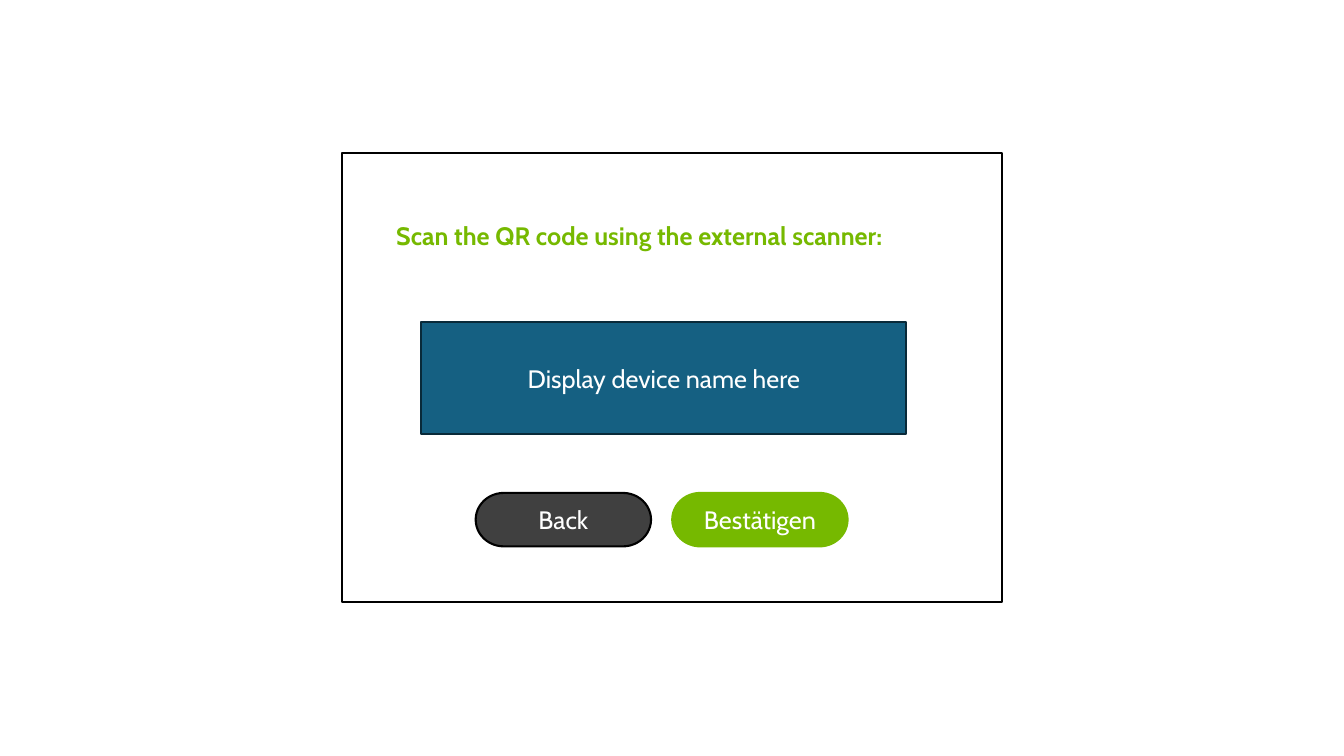
"""Build the device scanning dialog slide."""
from dataclasses import dataclass

from pptx import Presentation
from pptx.dml.color import RGBColor
from pptx.enum import shapes, text
from pptx.util import Pt

WHITE = RGBColor(0xFF, 0xFF, 0xFF)
BLACK = RGBColor(0x00, 0x00, 0x00)
GREEN = RGBColor(0x76, 0xB9, 0x00)
BLUE = RGBColor(0x15, 0x60, 0x82)
NAVY = RGBColor(0x09, 0x2A, 0x39)
GREY = RGBColor(0x40, 0x40, 0x40)

RECT = shapes.MSO_SHAPE.RECTANGLE
PILL = shapes.MSO_SHAPE.FLOWCHART_TERMINATOR


@dataclass(frozen=True)
class Box:
    kind: shapes.MSO_SHAPE
    left: float
    top: float
    width: float
    height: float
    fill: RGBColor
    line: RGBColor
    label: str = ""


FRAME = Box(RECT, 244.1, 109.4, 471.6, 320.4, WHITE, BLACK)
PANEL = Box(RECT, 301, 229.7, 346.3, 80.6, BLUE, NAVY, "Display device name here")
BACK = Box(PILL, 339.8, 352.1, 125.3, 38.2, GREY, BLACK, "Back")
NEXT = Box(PILL, 480.2, 352.1, 125.3, 38.2, GREEN, GREEN, "Bestätigen")


def write(frame, label: str, color: RGBColor, align, anchor, bold: bool = False) -> None:
    frame.text = label
    frame.word_wrap = True
    frame.vertical_anchor = anchor
    para = frame.paragraphs[0]
    para.alignment = align
    font = para.font
    font.name, font.size, font.bold = "Cabin", Pt(18), bold
    font.color.rgb = color


def draw(slide, box: Box):
    shape = slide.shapes.add_shape(
        box.kind, Pt(box.left), Pt(box.top), Pt(box.width), Pt(box.height))
    shape.shadow.inherit = False
    shape.fill.solid()
    shape.fill.fore_color.rgb = box.fill
    shape.line.color.rgb = box.line
    shape.line.width = Pt(1.5)
    if box.label:
        write(shape.text_frame, box.label, WHITE,
              text.PP_ALIGN.CENTER, text.MSO_ANCHOR.MIDDLE)
    return shape


def head(slide):
    title = slide.shapes.title
    title.left, title.top = Pt(275.8), Pt(153.4)
    title.width, title.height = Pt(424.8), Pt(28.8)
    write(title.text_frame, "Scan the QR code using the external scanner:", GREEN,
          text.PP_ALIGN.LEFT, text.MSO_ANCHOR.TOP, bold=True)
    title.text_frame.auto_size = text.MSO_AUTO_SIZE.SHAPE_TO_FIT_TEXT
    return title


def main() -> None:
    deck = Presentation()
    deck.slide_width, deck.slide_height = Pt(960), Pt(540)
    slide = deck.slides.add_slide(deck.slide_layouts.get_by_name("Title Only"))
    frame = draw(slide, FRAME)
    frame.element.addnext(head(slide).element)
    for box in (NEXT, PANEL, BACK):
        draw(slide, box)
    deck.save("out.pptx")


if __name__ == "__main__":
    main()
